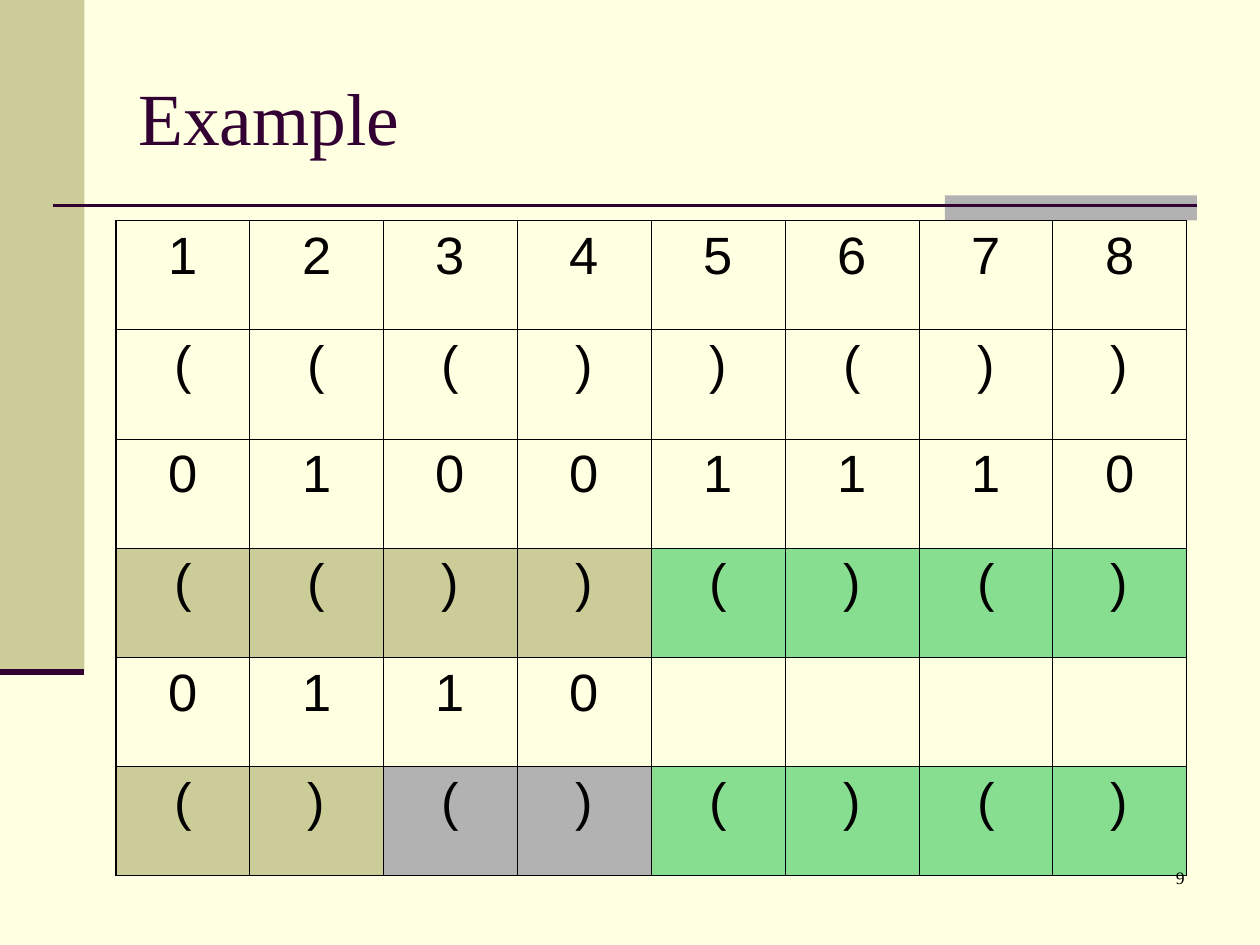
"""Build the slide that shows a bracket sequence being sorted into a wavelet table."""
from dataclasses import dataclass

from pptx import Presentation
from pptx import slide as sl
from pptx import util as u
from pptx.dml.color import RGBColor
from pptx.enum import shapes, text
from pptx.oxml import xmlchemy as xc

CREAM = RGBColor(0xFF, 0xFF, 0xE1)
KHAKI = RGBColor(0xCC, 0xCC, 0x99)
GREY = RGBColor(0xB2, 0xB2, 0xB2)
GREEN = RGBColor(0x88, 0xDE, 0x90)
PLUM = RGBColor(0x33, 0x00, 0x33)
BLACK = RGBColor(0, 0, 0)

LEVELS = ["12345678", "((())())", "01001110", "(())()()", "0110", "()()()()"]
GROUPS = {3: [KHAKI] * 4 + [GREEN] * 4,
          5: [KHAKI] * 2 + [GREY] * 2 + [GREEN] * 4}


@dataclass
class Page:
    slide: sl.Slide
    serif: str = "Times New Roman"
    sans: str = "Arial"
    inner: float = 0.45
    outer: float = 1.08

    def bar(self, left, top, width, height, color):
        box = self.slide.shapes.add_shape(
            shapes.MSO_SHAPE.RECTANGLE, *map(u.Inches, (left, top, width, height)))
        box.shadow.inherit = False
        box.fill.solid()
        box.fill.fore_color.rgb = color
        box.line.fill.background()

    def rule(self, left, right, y, weight):
        line = self.slide.shapes.add_connector(
            shapes.MSO_CONNECTOR.STRAIGHT, *map(u.Inches, (left, y, right, y)))
        line.line.color.rgb = PLUM
        line.line.width = u.Pt(weight)
        line._element.spPr.append(xc.OxmlElement("a:effectLst"))

    def add_words(self, paragraph, words, size, font, color, align):
        paragraph.alignment = align
        run = paragraph.add_run()
        run.text = words
        run.font.size = u.Pt(size)
        run.font.name = font
        run.font.color.rgb = color

    def label(self, bounds, words, size, color, align, anchor):
        box = self.slide.shapes.add_textbox(*map(u.Inches, bounds))
        frame = box.text_frame
        frame.word_wrap = True
        frame.vertical_anchor = anchor
        self.add_words(frame.paragraphs[0], words, size, self.serif, color, align)

    def border(self, cell, side, weight):
        edge = xc.OxmlElement(f"a:ln{side}")
        edge.set("w", str(u.Pt(weight)))
        fill = xc.OxmlElement("a:solidFill")
        color = xc.OxmlElement("a:srgbClr")
        color.set("val", str(BLACK))
        fill.append(color)
        edge.append(fill)
        cell._tc.get_or_add_tcPr().append(edge)

    def grid(self, bounds, levels, groups):
        rows, cols = len(levels), len(levels[0])
        table = self.slide.shapes.add_table(rows, cols, *map(u.Inches, bounds)).table
        table.first_row = table.horz_banding = False
        for r, level in enumerate(levels):
            for c in range(cols):
                cell = table.cell(r, c)
                at_edge = {"L": c == 0, "R": c == cols - 1,
                           "T": r == 0, "B": r == rows - 1}
                for side, is_outer in at_edge.items():
                    self.border(cell, side, self.outer if is_outer else self.inner)
                if r in groups:
                    cell.fill.solid()
                    cell.fill.fore_color.rgb = groups[r][c]
                else:
                    cell.fill.background()
                if c < len(level):
                    symbol = cell.text_frame.paragraphs[0]
                    symbol.space_before = u.Pt(7.5)
                    self.add_words(symbol, level[c], 30, self.sans, BLACK,
                                   text.PP_ALIGN.CENTER)


def main():
    deck = Presentation()
    deck.slide_width, deck.slide_height = u.Inches(10), u.Inches(7.5)
    page = Page(deck.slides.add_slide(deck.slide_layouts[6]))
    page.slide.background.fill.solid()
    page.slide.background.fill.fore_color.rgb = CREAM

    page.bar(0, 0, 0.67, 5.33, KHAKI)
    page.bar(7.5, 1.55, 2, 0.2, GREY)
    page.rule(0.42, 9.5, 1.63, 1.5)
    page.rule(0, 0.67, 5.33, 3.5)
    page.label((1, 0.3, 8.5, 1.25), "Example", 42, PLUM,
               text.PP_ALIGN.LEFT, text.MSO_ANCHOR.MIDDLE)
    page.grid((0.92, 1.75, 8.5, 5.2), LEVELS, GROUPS)
    page.label((7.42, 6.83, 2.08, 0.5), "9", 10, BLACK,
               text.PP_ALIGN.RIGHT, text.MSO_ANCHOR.TOP)
    deck.save("out.pptx")


if __name__ == "__main__":
    main()
